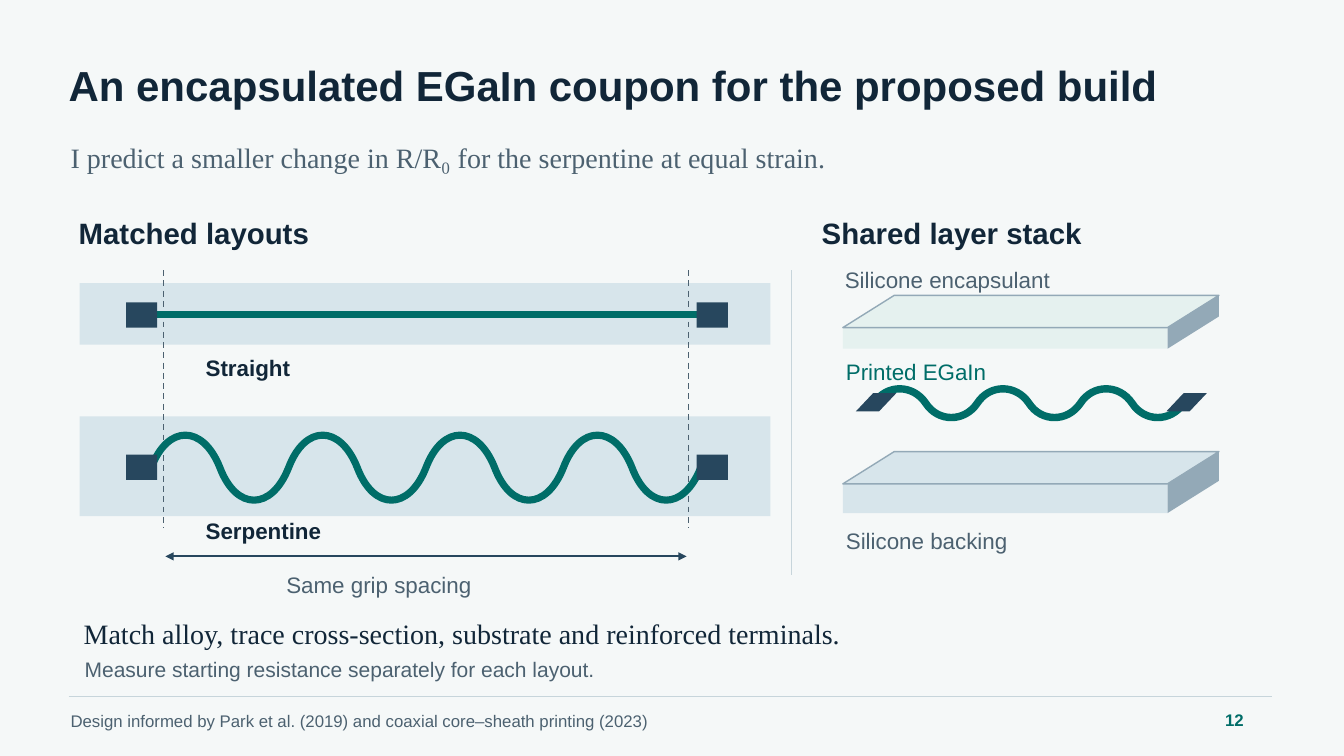
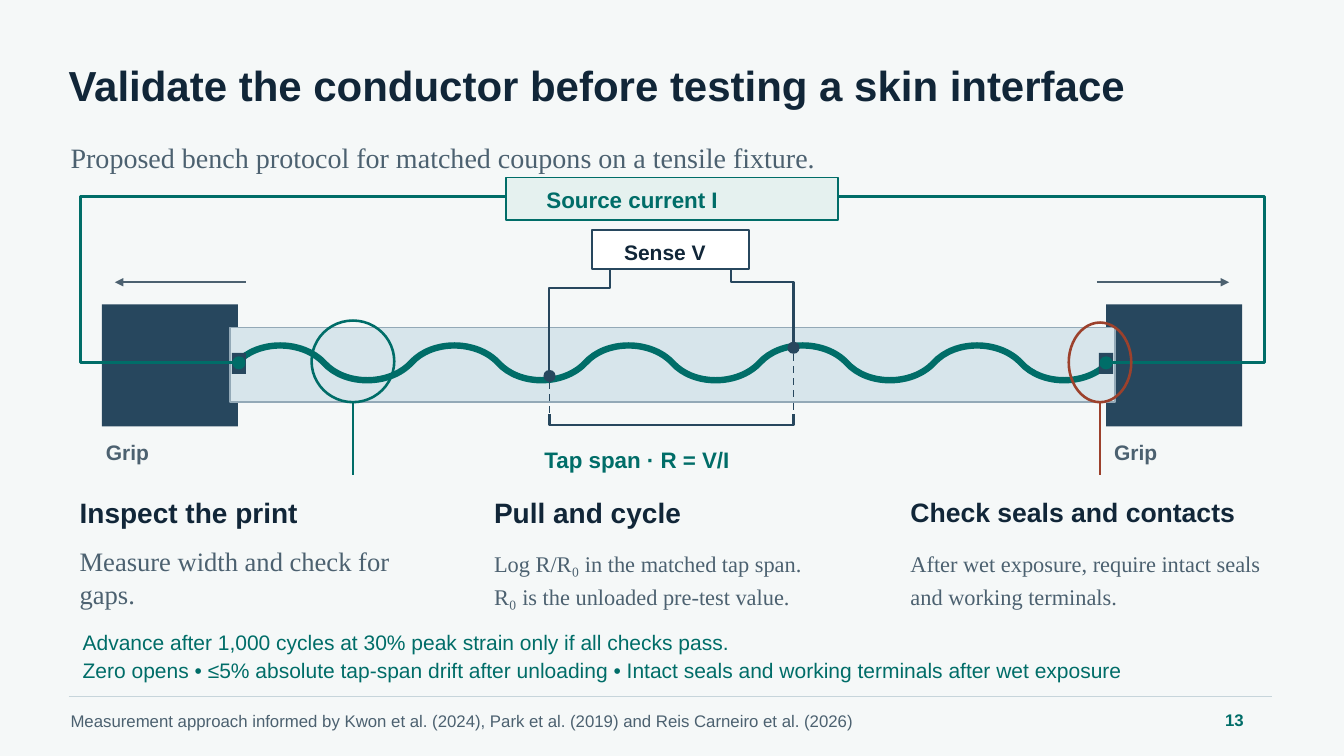
from lxml import etree
from pptx import Presentation
from pptx.dml.color import RGBColor
from pptx.enum.dml import MSO_LINE
from pptx.enum.shapes import MSO_CONNECTOR, MSO_SHAPE
from pptx.enum.text import MSO_ANCHOR, MSO_AUTO_SIZE, PP_ALIGN
from pptx.oxml.ns import qn
from pptx.util import Inches, Pt

PAPER, WHITE = "F5F8F8", "FFFFFF"
INK, SLATE, NAVY = "112638", "4C6170", "27475E"
TEAL, MINT, RUST = "006D68", "E5F1EF", "9C412C"
SILICONE, EDGE, RULE = "D7E5EB", "93A9B7", "C7D5DB"
SANS, SERIF = "Arial", "Times New Roman"


def color(hex_value):
    return RGBColor.from_string(hex_value)


def inches(*lengths):
    return [Inches(length) for length in lengths]


class Deck:
    """Holds the shared style and the slide being built."""

    def __init__(self):
        self.prs = Presentation()
        self.prs.slide_width, self.prs.slide_height = inches(13.33, 7.5)
        background = self.prs.slide_master.background.fill
        background.solid()
        background.fore_color.rgb = color(PAPER)
        self.slide = None

    def start(self, title, subtitle, source, number):
        """Add a slide with its title, subtitle and footer."""
        self.slide = self.prs.slides.add_slide(self.prs.slide_layouts[1])
        heading, lead = self.slide.placeholders
        self.place(heading, 0.66, 0.55, 12.02, 0.56)
        self.set_text(heading, [title], 30, INK, bold=True)
        self.place(lead, 0.68, 1.36, 12, 0.38)
        self.set_text(lead, [subtitle], 20, SLATE, SERIF)
        for paragraph in lead.text_frame.paragraphs:
            properties = paragraph._p.get_or_add_pPr()
            properties.set("marL", "0")
            properties.set("indent", "0")
            etree.SubElement(properties, qn("a:buNone"))
        self.line((0.68, 6.91), (12.62, 6.91), RULE, 0.85)
        self.label(0.68, 7.02, 11.2, source, 12, SLATE)
        self.label(12.13, 7.01, 0.49, str(number), 12, TEAL, bold=True)

    def place(self, shape, *box):
        for side, length in zip(("left", "top", "width", "height"), box):
            setattr(shape, side, Inches(length))

    def set_text(self, shape, lines, size, ink, font=SANS, bold=False,
                 leading=None, inset=(0.02, 0.02)):
        frame = shape.text_frame
        frame_format = {
            "word_wrap": True,
            "auto_size": MSO_AUTO_SIZE.NONE,
            "vertical_anchor": MSO_ANCHOR.TOP,
            "margin_left": Inches(inset[0]),
            "margin_top": Inches(inset[1]),
            "margin_right": Inches(0.02),
            "margin_bottom": Inches(0.02),
        }
        paragraph_format = {
            "alignment": PP_ALIGN.LEFT,
            "line_spacing": Pt(leading or round(size * 1.26, 1)),
            "space_before": Pt(0),
        }
        font_format = {"name": font, "size": Pt(size), "bold": bold}
        for name, value in frame_format.items():
            setattr(frame, name, value)
        for index, words in enumerate(lines):
            paragraph = frame.add_paragraph() if index else frame.paragraphs[0]
            for name, value in paragraph_format.items():
                setattr(paragraph, name, value)
            run = paragraph.add_run()
            run.text = words
            for name, value in font_format.items():
                setattr(run.font, name, value)
            run.font.color.rgb = color(ink)

    def label(self, x, y, width, words, size, ink, **text_format):
        lines = [words] if isinstance(words, str) else words
        height = 0.35 * len(lines)
        box = self.slide.shapes.add_textbox(*inches(x, y, width, height))
        self.set_text(box, lines, size, ink, **text_format)

    def paint(self, shape, fill=None, line=None, weight=1):
        shape.shadow.inherit = False
        if fill:
            shape.fill.solid()
            shape.fill.fore_color.rgb = color(fill)
        else:
            shape.fill.background()
        if line:
            self.stroke(shape, line, weight)
        else:
            shape.line.fill.background()
        return shape

    def stroke(self, shape, line, weight):
        shape.line.color.rgb = color(line)
        shape.line.width = Pt(weight)

    def shape(self, kind, x, y, width, height, fill=None, line=None, weight=1):
        shape = self.slide.shapes.add_shape(kind, *inches(x, y, width, height))
        return self.paint(shape, fill, line, weight)

    def rect(self, *box, **look):
        return self.shape(MSO_SHAPE.RECTANGLE, *box, **look)

    def circle(self, x, y, diameter, **look):
        """Draw a circle around a centre point."""
        corner = x - diameter / 2, y - diameter / 2
        self.shape(MSO_SHAPE.OVAL, *corner, diameter, diameter, **look)

    def slanted(self, x, y, width, height, lean, **look):
        pad = self.shape(MSO_SHAPE.PARALLELOGRAM, x, y, width, height, **look)
        pad.adjustments[0] = lean / height

    def line(self, start, end, ink, weight, dashed=False, arrows=()):
        connector = self.slide.shapes.add_connector(
            MSO_CONNECTOR.STRAIGHT, *inches(*start, *end))
        self.stroke(connector, ink, weight)
        if dashed:
            connector.line.dash_style = MSO_LINE.DASH
        for end_name in arrows:
            etree.SubElement(connector.line._get_or_add_ln(),
                             qn("a:" + end_name), type="triangle")
        etree.SubElement(connector._element.spPr, qn("a:effectLst"))

    def path_through(self, points, closed=False, **look):
        start, *rest = [tuple(inches(*point)) for point in points]
        builder = self.slide.shapes.build_freeform(*start, scale=1.0)
        builder.add_line_segments(rest, close=closed)
        return self.paint(builder.convert_to_shape(), **look)

    def wave(self, start, end, y, swing, halves, weight):
        """Draw a trace of equal half waves, the first one upwards."""
        step = (end - start) / halves
        points = [(start, y)]
        for half in range(halves):
            x = start + half * step
            pull = y + swing * (1 if half % 2 else -1)
            points += [(x + 0.24 * step, pull), (x + 0.75 * step, pull),
                       (x + step, y)]
        trace = self.path_through(points, line=TEAL, weight=weight)
        # Turn every three straight segments into one Bézier curve
        segments = list(trace._element.iter(qn("a:lnTo")))
        for first in range(0, len(segments), 3):
            curve = etree.Element(qn("a:cubicBezTo"))
            segments[first].addprevious(curve)
            for segment in segments[first:first + 3]:
                curve.append(segment[0])
                segment.getparent().remove(segment)

    def slab(self, y, thickness, fill):
        """Draw a silicone layer in oblique view, y being its front edge."""
        left, right, lean, depth = 8.36, 11.58, 0.51, 0.32
        self.rect(left, y, right - left, thickness, fill=fill)
        self.slanted(left, y - depth, right - left + lean, depth, lean,
                     fill=fill, line=EDGE)
        back = right + lean
        self.path_through(
            [(right, y), (back, y - depth), (back, y - depth + thickness),
             (right, y + thickness)], closed=True, fill=EDGE)


def build_coupon(deck):
    deck.start("An encapsulated EGaIn coupon for the proposed build",
               "I predict a smaller change in R/R₀ for the serpentine at equal strain.",
               "Design informed by Park et al. (2019) and coaxial core–sheath printing (2023)",
               12)
    for x, heading in ((0.76, "Matched layouts"), (8.13, "Shared layer stack")):
        deck.label(x, 2.1, 4.48, heading, 21, INK, bold=True)

    # Substrates, grip lines and grip spacing
    for y, height in ((2.81, 0.61), (4.13, 0.99)):
        deck.rect(0.79, y, 6.85, height, fill=SILICONE)
    for x in (1.62, 6.83):
        deck.line((x, 2.68), (x, 5.24), SLATE, 1.05, dashed=True)
    deck.line((1.64, 5.52), (6.81, 5.52), NAVY, 1.35,
              arrows=("headEnd", "tailEnd"))
    deck.label(2.82, 5.63, 4.2, "Same grip spacing", 16, SLATE)

    # Traces with their terminals
    deck.line((1.5, 3.12), (6.95, 3.12), TEAL, 5.1)
    deck.wave(1.5, 6.95, 4.64, 0.43, 8, 5.1)
    for terminal_y, name_y, name in ((3, 3.48, "Straight"),
                                     (4.51, 5.1, "Serpentine")):
        for x in (1.25, 6.91):
            deck.rect(x, terminal_y, 0.31, 0.25, fill=NAVY)
        deck.label(2.02, name_y, 3.2, name, 16, INK, bold=True)

    # Layer stack
    deck.line((7.85, 2.68), (7.85, 5.7), RULE, 1.2)
    deck.slab(4.8, 0.29, SILICONE)
    deck.slab(3.25, 0.21, MINT)
    for x, y, layer, ink in ((8.36, 2.61, "Silicone encapsulant", SLATE),
                             (8.37, 3.52, "Printed EGaIn", TEAL),
                             (8.37, 5.19, "Silicone backing", SLATE)):
        deck.label(x, y, 4.1, layer, 16, ink)
    deck.wave(8.67, 11.74, 4, 0.19, 6, 5.3)
    for x in (8.49, 11.57):
        deck.slanted(x, 3.9, 0.4, 0.18, 0.17, fill=NAVY)

    # Matching rule
    deck.label(0.81, 6.08, 11.73,
               "Match alloy, trace cross-section, substrate and reinforced terminals.",
               20, INK, font=SERIF)
    deck.label(0.82, 6.48, 11.6,
               "Measure starting resistance separately for each layout.", 15, SLATE)


def build_validation(deck):
    deck.start("Validate the conductor before testing a skin interface",
               "Proposed bench protocol for matched coupons on a tensile fixture.",
               "Measurement approach informed by Kwon et al. (2024), Park et al. (2019) "
               "and Reis Carneiro et al. (2026)", 13)

    # Coupon held between the grips
    for x in (1.01, 10.97):
        deck.rect(x, 3.02, 1.35, 1.21, fill=NAVY)
    deck.rect(2.28, 3.25, 8.78, 0.74, fill=SILICONE, line=EDGE)
    deck.wave(2.35, 10.99, 3.6, 0.23, 10, 4.6)
    for x in (2.3, 10.9):
        deck.rect(x, 3.5, 0.14, 0.21, fill=NAVY)
    for x in (1.03, 11.03):
        deck.label(x, 4.33, 1.31, "Grip", 15, SLATE, bold=True)
    for start, end in ((2.44, 1.14), (10.88, 12.19)):
        deck.line((start, 2.8), (end, 2.8), SLATE, 1.7, arrows=("tailEnd",))

    # Voltage taps: x, y on the trace, bend height, x at the meter
    for x, y, bend, meter_x in ((5.45, 3.73, 2.86, 6.05),
                                (7.87, 3.45, 2.8, 7.25)):
        deck.path_through([(x, y), (x, bend), (meter_x, bend), (meter_x, 2.58)],
                          line=NAVY, weight=1.45)
        deck.circle(x, y, 0.12, fill=NAVY)
        deck.line((x, y + 0.06), (x, 4.15), NAVY, 1.25, dashed=True)
    sense = deck.rect(5.87, 2.28, 1.56, 0.39, fill=WHITE, line=NAVY)
    deck.set_text(sense, ["Sense V"], 15, INK, bold=True, inset=(0.32, 0.08))
    deck.path_through([(5.45, 4.11), (5.45, 4.22), (7.87, 4.22), (7.87, 4.11)],
                      line=NAVY, weight=1.55)
    deck.label(5.38, 4.37, 3.17, "Tap span · R = V/I", 16, TEAL, bold=True,
               leading=21.6)

    # Current loop
    for contact, outer, supply in ((2.37, 0.8, 5.02), (10.97, 12.54, 8.31)):
        deck.path_through([(contact, 3.6), (outer, 3.6), (outer, 1.95),
                           (supply, 1.95)], line=TEAL, weight=2.15)
        deck.circle(contact, 3.6, 0.13, fill=TEAL)
    current = deck.rect(5.02, 1.76, 3.29, 0.42, fill=MINT, line=TEAL, weight=1.15)
    deck.set_text(current, ["Source current I"], 16, TEAL, bold=True,
                  inset=(0.4, 0.07))

    # Inspection rings with their leaders
    for x, y, width, height, ink in ((3.09, 3.18, 0.82, 0.81, TEAL),
                                     (10.6, 3.2, 0.62, 0.79, RUST)):
        deck.shape(MSO_SHAPE.OVAL, x, y, width, height, line=ink, weight=1.85)
        middle = x + width / 2
        deck.line((middle, y + height), (middle, 4.71), ink, 1.2)

    # Three checks
    checks = (
        (0.77, "Inspect the print", 20, 19,
         ("Measure width and check for", "gaps.")),
        (4.88, "Pull and cycle", 20, 16,
         ("Log R/R₀ in the matched tap span.", "R₀ is the unloaded pre-test value.")),
        (9.01, "Check seals and contacts", 19, 16,
         ("After wet exposure, require intact seals", "and working terminals.")),
    )
    for x, check, check_size, detail_size, detail in checks:
        deck.label(x, 4.88, 3.7, check, check_size, INK, bold=True)
        deck.label(x, 5.37, 3.85, detail, detail_size, SLATE, font=SERIF,
                   leading=23.8)

    # Pass criteria
    criteria = " • ".join((
        "Zero opens", "≤5% absolute tap-span drift after unloading",
        "Intact seals and working terminals after wet exposure"))
    deck.label(0.8, 6.19, 11.93,
               ("Advance after 1,000 cycles at 30% peak strain only if all checks pass.",
                criteria), 15, TEAL, leading=20.2)


def main():
    deck = Deck()
    build_coupon(deck)
    build_validation(deck)
    deck.prs.save("out.pptx")


if __name__ == "__main__":
    main()
